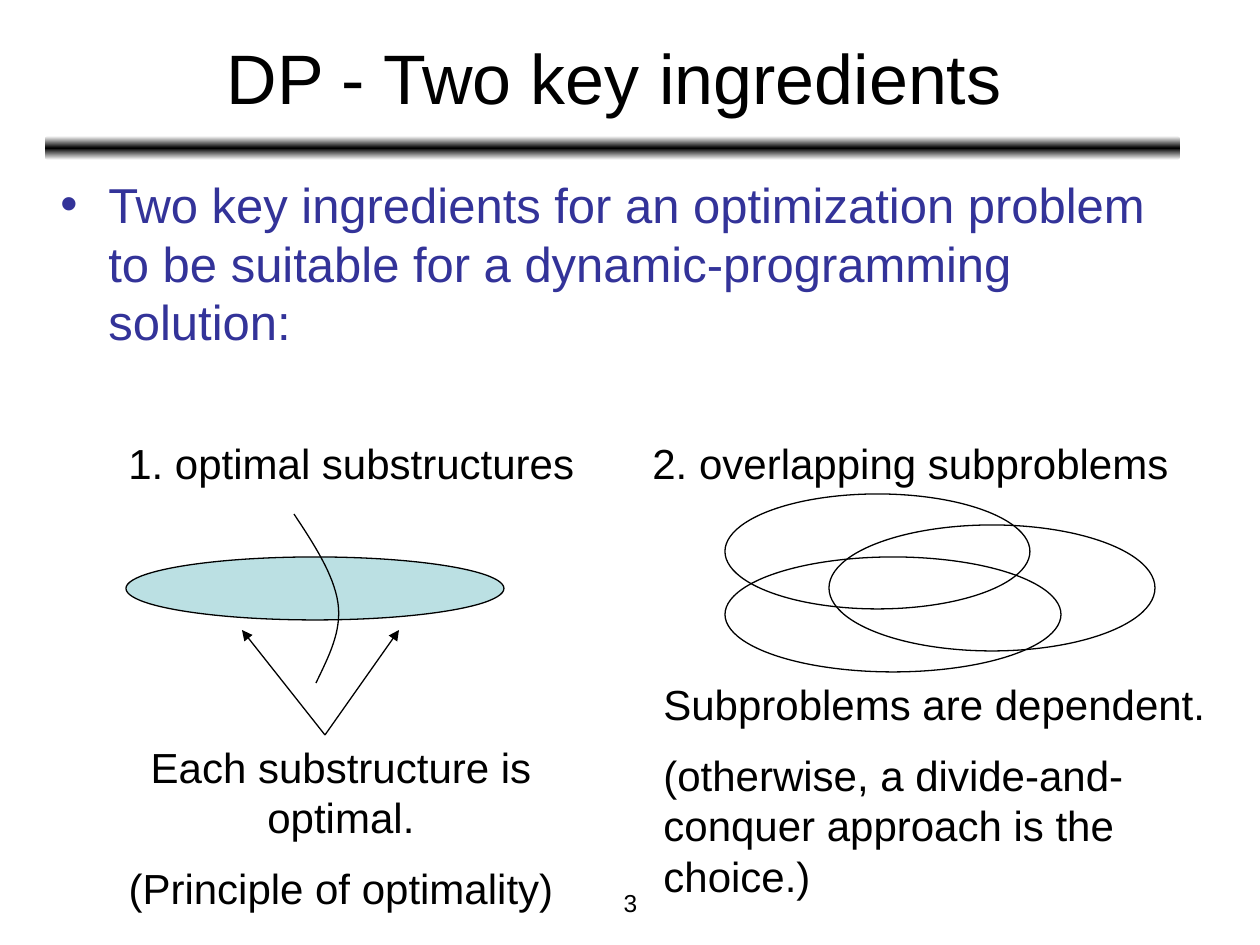
from copy import deepcopy

from lxml.etree import SubElement
from pptx import Presentation
from pptx.dml.color import RGBColor
from pptx.enum.shapes import MSO_CONNECTOR, MSO_SHAPE
from pptx.enum.text import MSO_ANCHOR, PP_ALIGN
from pptx.oxml.ns import qn
from pptx.util import Pt

EMU_PER_PX = 914400 / 126
BLACK, WHITE, INDIGO, AQUA = "000000", "FFFFFF", "333399", "BBE0E3"


def px(length):
    return round(length * EMU_PER_PX)


def color(hex_value):
    return RGBColor.from_string(hex_value)


def add_bullet(paragraph, bullet, hex_color, indent):
    properties = paragraph._p.get_or_add_pPr()
    properties.set("marL", str(px(indent)))
    properties.set("indent", str(-px(indent)))
    bullet_color = SubElement(properties, qn("a:buClr"))
    SubElement(bullet_color, qn("a:srgbClr")).set("val", hex_color)
    SubElement(properties, qn("a:buFont")).set("typeface", "Arial")
    SubElement(properties, qn("a:buChar")).set("char", bullet)


def add_text(slide, text, box, size=24, hex_color=BLACK, align=PP_ALIGN.LEFT,
             anchor=MSO_ANCHOR.TOP, space_before=12, bullet=None):
    """Place text in a box; each line of the text is one paragraph."""
    frame = slide.shapes.add_textbox(*map(px, box)).text_frame
    frame.word_wrap = True
    frame.vertical_anchor = anchor
    for index, line in enumerate(text.split("\n")):
        paragraph = frame.add_paragraph() if index else frame.paragraphs[0]
        paragraph.alignment = align
        if index:
            paragraph.space_before = Pt(space_before)
        if bullet:
            add_bullet(paragraph, bullet, hex_color, indent=48)
        run = paragraph.add_run()
        run.text = line
        run.font.name = "Arial"
        run.font.size = Pt(size)
        run.font.color.rgb = color(hex_color)


def outline(shape):
    shape.line.color.rgb = color(BLACK)
    shape.line.width = Pt(0.75)


def add_ellipse(slide, box, fill=None):
    ellipse = slide.shapes.add_shape(MSO_SHAPE.OVAL, *map(px, box))
    ellipse.shadow.inherit = False
    outline(ellipse)
    if fill:
        ellipse.fill.solid()
        ellipse.fill.fore_color.rgb = color(fill)
    else:
        ellipse.fill.background()


def add_gradient_bar(slide, box, stops):
    bar = slide.shapes.add_shape(MSO_SHAPE.ROUNDED_RECTANGLE, *map(px, box))
    bar.shadow.inherit = False
    bar.line.fill.background()
    bar.fill.gradient()
    bar.fill.gradient_angle = 90
    stop_list = bar._element.spPr.find(".//" + qn("a:gsLst"))
    while len(stop_list) < len(stops):
        stop_list.append(deepcopy(stop_list[0]))
    for stop, (position, hex_color) in zip(bar.fill.gradient_stops, stops):
        stop.position = position
        stop.color.rgb = color(hex_color)


def add_arrow(slide, start, end):
    arrow = slide.shapes.add_connector(MSO_CONNECTOR.STRAIGHT, *map(px, start + end))
    outline(arrow)
    SubElement(arrow.line._get_or_add_ln(), qn("a:tailEnd")).set("type", "triangle")
    SubElement(arrow._element.spPr, qn("a:effectLst"))


def bezier_points(controls, steps=16):
    """Points along a cubic curve, without its start."""
    for step in range(1, steps + 1):
        t = step / steps
        weights = ((1 - t) ** 3, 3 * t * (1 - t) ** 2, 3 * t * t * (1 - t), t ** 3)
        yield tuple(px(sum(w * point[axis] for w, point in zip(weights, controls)))
                    for axis in (0, 1))


def add_curve(slide, controls):
    """Draw joined cubic curves; every third control is a point on the curve."""
    builder = slide.shapes.build_freeform(*map(px, controls[0]))
    for first in range(0, len(controls) - 1, 3):
        builder.add_line_segments(bezier_points(controls[first:first + 4]), close=False)
    curve = builder.convert_to_shape()
    curve.shadow.inherit = False
    curve.fill.background()
    outline(curve)


def main():
    presentation = Presentation()
    presentation.slide_width, presentation.slide_height = px(1260), px(945)
    slide = presentation.slides.add_slide(presentation.slide_layouts[6])

    # Heading, rule and page number
    add_gradient_bar(slide, (45, 136, 1135, 24), ((0, WHITE), (0.5, BLACK), (1, WHITE)))
    add_text(slide, "3", (431, 882, 399, 44), size=14, align=PP_ALIGN.CENTER)
    add_text(slide, "DP - Two key ingredients", (47, 14, 1134, 125), size=40,
             align=PP_ALIGN.CENTER, anchor=MSO_ANCHOR.MIDDLE)
    add_text(slide, "Two key ingredients for an optimization problem to be suitable "
             "for a dynamic-programming solution:", (48, 168, 1134, 699),
             size=28, hex_color=INDIGO, bullet="•")

    # Optimal substructures: one problem cut in two
    add_text(slide, "1. optimal substructures", (116, 431, 514, 63))
    add_ellipse(slide, (126, 557, 378, 63), fill=AQUA)
    add_curve(slide, [(294, 514), (314, 544), (334, 575), (338, 603),
                      (342, 631), (329, 656), (316, 683)])
    for tip in ((242, 630), (399, 630)):
        add_arrow(slide, (325, 735), tip)
    add_text(slide, "Each substructure is optimal.\n(Principle of optimality)",
             (84, 735, 514, 139), align=PP_ALIGN.CENTER)

    # Overlapping subproblems
    add_text(slide, "2. overlapping subproblems", (640, 431, 546, 63))
    for box in ((725, 494, 305, 115), (829, 525, 326, 126), (725, 557, 336, 115)):
        add_ellipse(slide, box)
    add_text(slide, "Subproblems are dependent.\n"
             "(otherwise, a divide-and-conquer approach is the choice.)",
             (651, 672, 609, 189))

    presentation.save("out.pptx")


if __name__ == "__main__":
    main()
